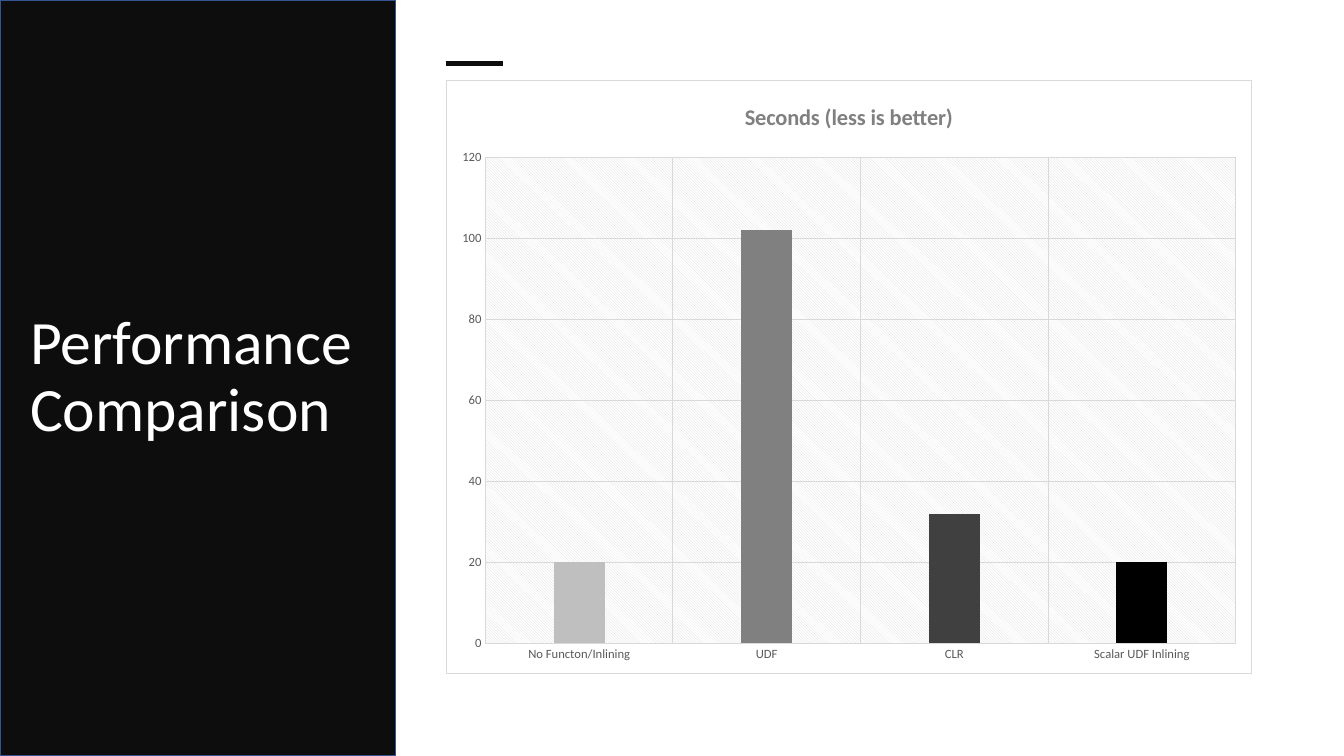
import pptx
import pptx.chart.data
import pptx.dml.color
import pptx.enum.chart
import pptx.enum.shapes
import pptx.enum.text
import pptx.oxml
import pptx.oxml.ns
import pptx.util
from pptx.util import Inches

RGBColor = pptx.dml.color.RGBColor
NEAR_BLACK = RGBColor(0x0D, 0x0D, 0x0D)
PANEL_EDGE = RGBColor(0x32, 0x54, 0x91)
WHITE = RGBColor(0xFF, 0xFF, 0xFF)
TITLE_GRAY = RGBColor(0x80, 0x80, 0x80)
LABEL_GRAY = RGBColor(0x59, 0x59, 0x59)
GRID_GRAY = RGBColor(0xD9, 0xD9, 0xD9)
BLACK = RGBColor(0, 0, 0)
BAR_COLORS = [RGBColor(0xBF, 0xBF, 0xBF), TITLE_GRAY, RGBColor(0x40, 0x40, 0x40), BLACK]

FONT = "Calibri"
CHART_TITLE = "Seconds (less is better)"
TIMINGS = {"No Functon/Inlining": 20, "UDF": 102, "CLR": 32, "Scalar UDF Inlining": 20}


def set_font(font, size, color, bold=False):
    font.name = FONT
    font.size = pptx.util.Pt(size)
    font.bold = bold
    font.color.rgb = color


def set_line(line, color, width):
    line.color.rgb = color
    line.width = pptx.util.Pt(width)


def write_text(tf, text, size, color, bold=False, spacing=None):
    p = tf.paragraphs[0]
    p.line_spacing = spacing
    r = p.add_run()
    r.text = text
    set_font(r.font, size, color, bold)


def add_panel(s, x, y, w, h):
    sp = s.shapes.add_shape(
        pptx.enum.shapes.MSO_SHAPE.RECTANGLE, Inches(x), Inches(y), Inches(w), Inches(h))
    sp.shadow.inherit = False
    sp.fill.solid()
    sp.fill.fore_color.rgb = NEAR_BLACK
    set_line(sp.line, PANEL_EDGE, 1)


def add_rule(s, x, y, w):
    c = s.shapes.add_connector(
        pptx.enum.shapes.MSO_CONNECTOR.STRAIGHT, Inches(x), Inches(y), Inches(x + w), Inches(y))
    set_line(c.line, NEAR_BLACK, 3.25)
    c._element.spPr.append(pptx.oxml.parse_xml(
        f"<a:effectLst {pptx.oxml.ns.nsdecls('a')}/>"))


def add_title(s, text, x, y, w, h):
    sp = s.shapes.add_textbox(Inches(x), Inches(y), Inches(w), Inches(h))
    tf = sp.text_frame
    tf.word_wrap = True
    tf.vertical_anchor = pptx.enum.text.MSO_ANCHOR.MIDDLE
    write_text(tf, text, 44, WHITE, spacing=0.9)


def chart_area(fill, line):
    return pptx.oxml.parse_xml(
        f"<c:spPr {pptx.oxml.ns.nsdecls('c', 'a')}>{fill}{line}</c:spPr>")


def solid(color):
    return f'<a:solidFill><a:srgbClr val="{color}"/></a:solidFill>'


def style_backgrounds(chart):
    root = chart._chartSpace
    border = f'<a:ln w="9525">{solid(GRID_GRAY)}</a:ln>'
    root.chart.addnext(chart_area(solid(WHITE), border))
    pattern = (f'<a:pattFill prst="ltDnDiag"><a:fgClr><a:srgbClr val="{GRID_GRAY}"/></a:fgClr>'
               f'<a:bgClr><a:srgbClr val="{WHITE}"/></a:bgClr></a:pattFill>')
    root.chart.plotArea.append(chart_area(pattern, "<a:ln><a:noFill/></a:ln>"))


def style_axis(axis):
    tick = pptx.enum.chart.XL_TICK_MARK.NONE
    axis.major_tick_mark = tick
    axis.minor_tick_mark = tick
    axis.has_major_gridlines = True
    set_line(axis.major_gridlines.format.line, GRID_GRAY, 0.75)
    set_font(axis.tick_labels.font, 9, LABEL_GRAY)


def add_timing_chart(s, x, y, w, h):
    data = pptx.chart.data.CategoryChartData()
    data.categories = list(TIMINGS)
    data.add_series(CHART_TITLE, list(TIMINGS.values()))
    chart = s.shapes.add_chart(
        pptx.enum.chart.XL_CHART_TYPE.COLUMN_CLUSTERED,
        Inches(x), Inches(y), Inches(w), Inches(h), data).chart
    set_font(chart.font, 10, BLACK)
    chart.has_legend = False
    chart.has_title = True
    write_text(chart.chart_title.text_frame, CHART_TITLE, 16, TITLE_GRAY, bold=True)
    for axis in (chart.category_axis, chart.value_axis):
        style_axis(axis)
    set_line(chart.category_axis.format.line, GRID_GRAY, 0.75)
    chart.value_axis.format.line.fill.background()
    chart.value_axis.minimum_scale = 0
    chart.value_axis.maximum_scale = 120
    chart.value_axis.major_unit = 20
    plot = chart.plots[0]
    plot.gap_width = 267
    plot.overlap = -43
    plot.vary_by_categories = False
    for i, color in enumerate(BAR_COLORS):
        fill = plot.series[0].points[i].format.fill
        fill.solid()
        fill.fore_color.rgb = color
    style_backgrounds(chart)


def main():
    prs = pptx.Presentation()
    prs.slide_width = Inches(13.33)
    prs.slide_height = Inches(7.5)
    s = prs.slides.add_slide(prs.slide_layouts[6])
    add_panel(s, 0, 0, 3.92, 7.5)
    add_rule(s, 4.42, 0.63, 0.57)
    add_title(s, "Performance Comparison", 0.2, 0, 3.72, 7.5)
    add_timing_chart(s, 4.42, 0.79, 8, 5.9)
    prs.save("out.pptx")


if __name__ == "__main__":
    main()
